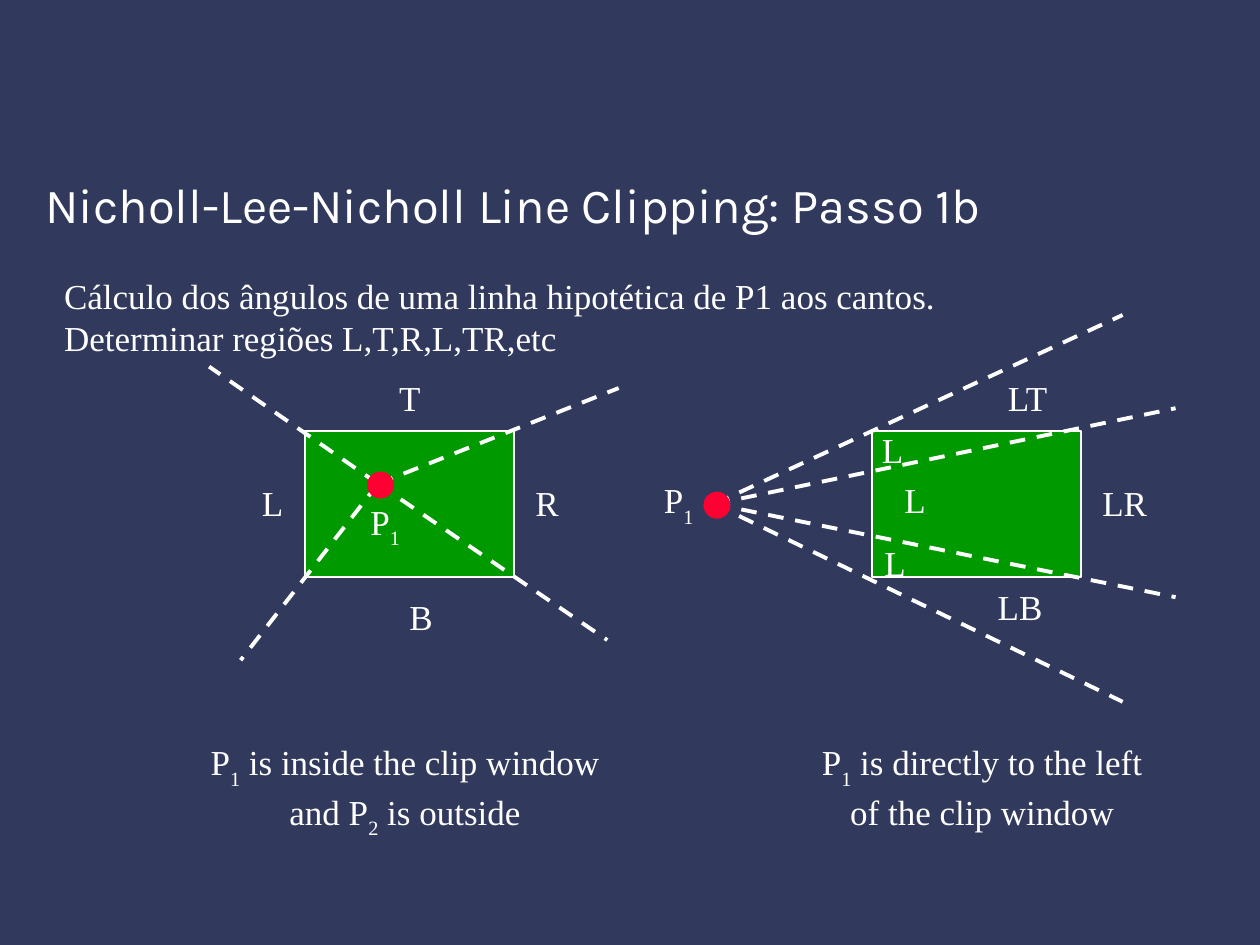
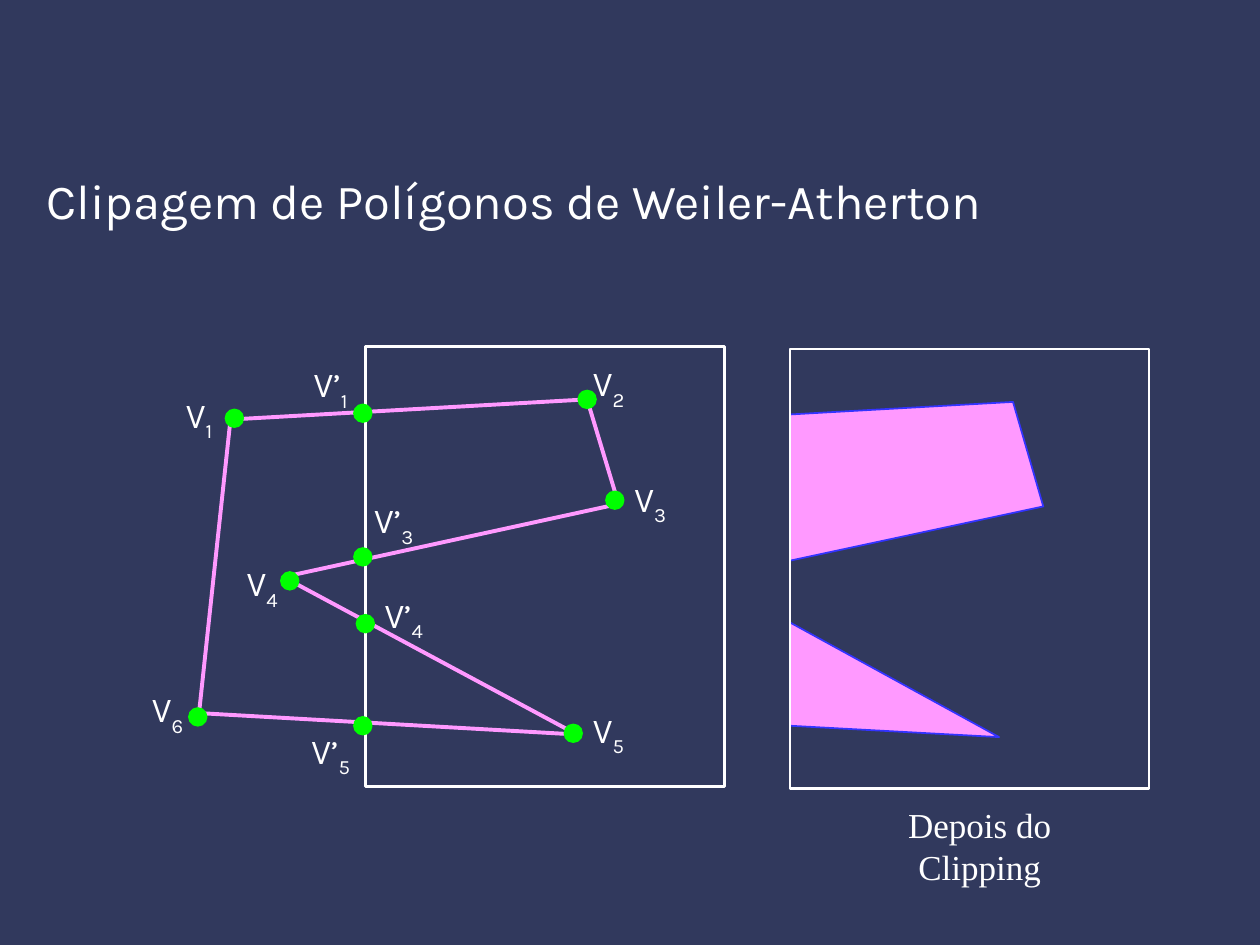
from lxml import etree
from pptx import Presentation
from pptx.dml.color import RGBColor
from pptx.enum.dml import MSO_LINE
from pptx.enum.shapes import MSO_CONNECTOR, MSO_SHAPE
from pptx.enum.text import MSO_ANCHOR, MSO_AUTO_SIZE, PP_ALIGN
from pptx.oxml.ns import qn
from pptx.util import Inches, Pt

RECT, OVAL = MSO_SHAPE.RECTANGLE, MSO_SHAPE.OVAL
LEFT, CENTER = PP_ALIGN.LEFT, PP_ALIGN.CENTER
STRAIGHT, DASH = MSO_CONNECTOR.STRAIGHT, MSO_LINE.DASH
MIDDLE = MSO_ANCHOR.MIDDLE
NO_FIT, GROW = MSO_AUTO_SIZE.NONE, MSO_AUTO_SIZE.SHAPE_TO_FIT_TEXT

NAVY, WHITE, GREEN, RED = "31395D", "FFFFFF", "009900", "FF0033"
PINK, BLUE, LIME = "FF99FF", "3333FF", "00FF00"
SANS, SERIF = "Karla", "Times New Roman"
LABEL_WIDTHS = {"P_1": 0.45, "LT": 0.57, "LR": 0.58, "LB": 0.57, "R": 0.4}


def rgb(color):
    """Turn a hex string into a colour."""
    return RGBColor.from_string(color)


def paint(shape, fill, line, width):
    """Set fill and line of a shape and remove its shadow."""
    shape.shadow.inherit = False
    if fill:
        shape.fill.solid()
        shape.fill.fore_color.rgb = rgb(fill)
    else:
        shape.fill.background()
    shape.line.color.rgb = rgb(line)
    shape.line.width = Pt(width)


def add_preset(s, kind, x, y, w, h, fill, line, width):
    """Add a painted preset shape."""
    shape = s.shapes.add_shape(kind, Inches(x), Inches(y), Inches(w), Inches(h))
    paint(shape, fill, line, width)


def add_polygon(s, x, y, points, fill, line, width):
    """Add a closed outline whose points are offsets from x, y."""
    corners = [(Inches(x + dx), Inches(y + dy)) for dx, dy in points]
    builder = s.shapes.build_freeform(*corners[0])
    builder.add_line_segments(corners[1:], close=True)
    paint(builder.convert_to_shape(), fill, line, width)


def add_ray(s, x1, y1, x2, y2):
    """Add a dashed white line."""
    ray = s.shapes.add_connector(STRAIGHT, Inches(x1), Inches(y1), Inches(x2), Inches(y2))
    ray.line.color.rgb = rgb(WHITE)
    ray.line.width = Pt(2.25)
    ray.line.dash_style = DASH
    etree.SubElement(ray._element.spPr, qn("a:effectLst"))


def add_run(p, text, font, size, subscript=False):
    """Add one white run to a paragraph."""
    r = p.add_run()
    r.text = text
    r.font.name = font
    r.font.size = Pt(size)
    r.font.color.rgb = rgb(WHITE)
    if subscript:
        r._r.get_or_add_rPr().set("baseline", "-30000")


def add_text(s, x, y, w, h, lines, font=SERIF, align=LEFT):
    """Add lines of text in which an underscore lowers the next character."""
    tf = s.shapes.add_textbox(Inches(x), Inches(y), Inches(w), Inches(h)).text_frame
    tf.word_wrap = False
    tf.auto_size = GROW
    for i, line in enumerate(lines):
        p = tf.add_paragraph() if i else tf.paragraphs[0]
        p.alignment = align
        first, *rest = line.split("_")
        add_run(p, first, font, 20)
        for part in rest:
            add_run(p, part[0], font, 20, subscript=True)
            if part[1:]:
                add_run(p, part[1:], font, 20)


def add_titled_slide(prs, title, x, y, w, h):
    """Add a title-only slide with its title in the given box."""
    s = prs.slides.add_slide(prs.slide_layouts[5])
    shape = s.shapes.title
    shape.left, shape.top, shape.width, shape.height = map(Inches, (x, y, w, h))
    tf = shape.text_frame
    tf.vertical_anchor = MIDDLE
    tf.word_wrap = True
    tf.auto_size = NO_FIT
    p = tf.paragraphs[0]
    p.alignment = LEFT
    add_run(p, title, SANS, 28)
    return s


def add_region_diagram(s, x, y, p1, ray_ends, labels):
    """Draw a clip window at x, y with rays from P1 and region labels."""
    add_preset(s, RECT, x, y, 1.66, 1.16, GREEN, WHITE, 1.5)
    px, py = x + p1[0], y + p1[1]
    for dx, dy in ray_ends:
        add_ray(s, px, py, x + dx, y + dy)
    add_preset(s, OVAL, px - 0.08, py - 0.09, 0.2, 0.2, RED, RED, 1)
    for text, dx, dy in labels:
        height = 0.49 if "_" in text else 0.43
        add_text(s, x + dx, y + dy, LABEL_WIDTHS.get(text, 0.38), height, [text])


def add_polygon_window(s, x, y):
    """Draw an empty clip window for the polygon."""
    add_preset(s, RECT, x, y, 2.85, 3.49, None, WHITE, 1.5)


def add_subject_polygon(s, x, y):
    """Draw the unclipped polygon over its window with named vertices."""
    add_polygon_window(s, x, y)
    outline = [(-1.32, 2.91), (-1.07, 0.58), (1.76, 0.42), (2.01, 1.25),
               (-0.65, 1.83), (1.68, 3.08)]
    add_polygon(s, x, y, outline, None, PINK, 2.25)
    vertices = [
        ("V_1", -1.58, 0.32, -1.11, 0.5),
        ("V’_1", -0.59, 0.08, -0.09, 0.46),
        ("V_2", 1.67, 0.07, 1.69, 0.35),
        ("V_3", 2, 0.99, 1.91, 1.15),
        ("V’_3", -0.09, 1.16, -0.09, 1.6),
        ("V_4", -1.08, 1.66, -0.67, 1.79),
        ("V’_4", -0.01, 1.91, -0.07, 2.13),
        ("V_5", 1.67, 2.82, 1.58, 3),
        ("V’_5", -0.59, 2.99, -0.09, 2.94),
        ("V_6", -1.83, 2.66, -1.4, 2.87),
    ]
    for name, dx, dy, _, _ in vertices:
        width = 0.63 if "’" in name else 0.52
        add_text(s, x + dx, y + dy, width, 0.49, [name], SANS, CENTER)
    for _, _, _, dx, dy in vertices:
        add_preset(s, OVAL, x + dx, y + dy, 0.14, 0.14, LIME, LIME, 1)


def add_clipped_polygons(s, x, y):
    """Draw the parts left after clipping, their window and its caption."""
    triangle = [(1.66, 3.08), (0, 2.99), (0, 2.17)]
    quadrilateral = [(0, 1.68), (0, 0.52), (1.77, 0.42), (2.01, 1.25)]
    for part in (triangle, quadrilateral):
        add_polygon(s, x, y, part, PINK, BLUE, 1)
    add_polygon_window(s, x, y)
    add_text(s, x + 0.82, y + 3.56, 1.37, 0.77, ["Depois do", "Clipping"], align=CENTER)


def build_regions_slide(prs):
    """Build the slide on the regions around P1."""
    s = add_titled_slide(prs, "Nicholl-Lee-Nicholl Line Clipping: Passo 1b",
                         0.26, 1.29, 9.4, 0.65)
    add_region_diagram(
        s, 2.42, 3.42, (0.58, 0.42),
        [(2.49, -0.34), (2.4, 1.66), (-0.76, -0.51), (-0.51, 1.82)],
        [("P_1", 0.42, 0.5), ("T", 0.65, -0.48), ("L", -0.44, 0.35),
         ("B", 0.73, 1.26), ("R", 1.73, 0.35)])
    add_region_diagram(
        s, 6.92, 3.42, (-1.25, 0.58),
        [(1.99, -0.92), (2.41, -0.18), (2.41, 1.32), (1.99, 2.15)],
        [("P_1", -1.75, 0.33), ("L", -0.02, -0.07), ("L", 0.16, 0.33),
         ("L", 0, 0.83), ("LT", 0.98, -0.48), ("LR", 1.73, 0.35),
         ("LB", 0.9, 1.18)])
    add_text(s, 1.51, 5.83, 3.41, 0.89,
             ["P_1 is inside the clip window", "and P_2 is outside"], align=CENTER)
    add_text(s, 6.35, 5.83, 2.89, 0.83,
             ["P_1 is directly to the left", "of the clip window"], align=CENTER)
    add_text(s, 0.41, 2.13, 7.52, 0.77,
             ["Cálculo dos ângulos de uma linha hipotética de P1 aos cantos.",
              "Determinar regiões L,T,R,L,TR,etc"])


def build_polygon_slide(prs):
    """Build the slide on polygon clipping."""
    s = add_titled_slide(prs, "Clipagem de Polígonos de Weiler-Atherton",
                         0.27, 1.3, 8.98, 0.57)
    add_clipped_polygons(s, 6.27, 2.77)
    add_subject_polygon(s, 2.9, 2.75)


def main():
    """Build and save the presentation."""
    prs = Presentation()
    prs.slide_width, prs.slide_height = Inches(10), Inches(7.5)
    background = prs.slide_master.background.fill
    background.solid()
    background.fore_color.rgb = rgb(NAVY)
    build_regions_slide(prs)
    build_polygon_slide(prs)
    prs.save("out.pptx")


if __name__ == "__main__":
    main()
